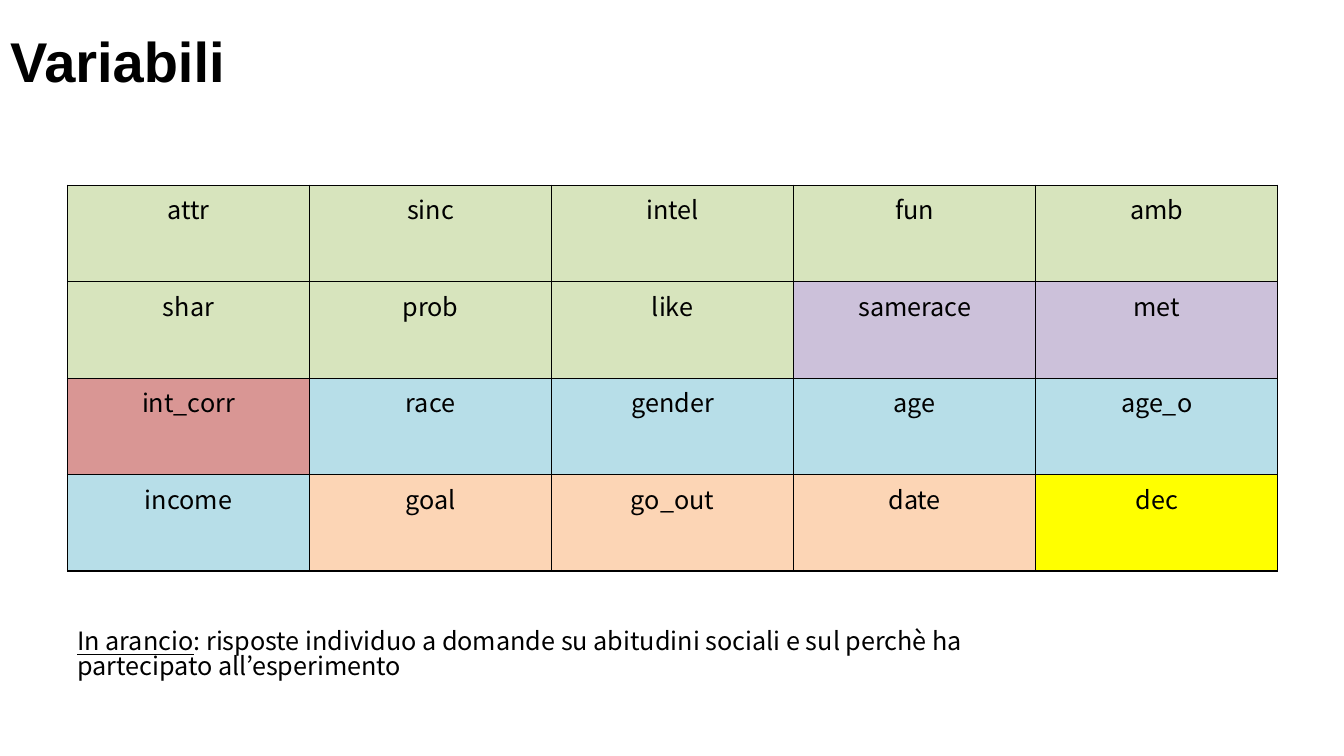
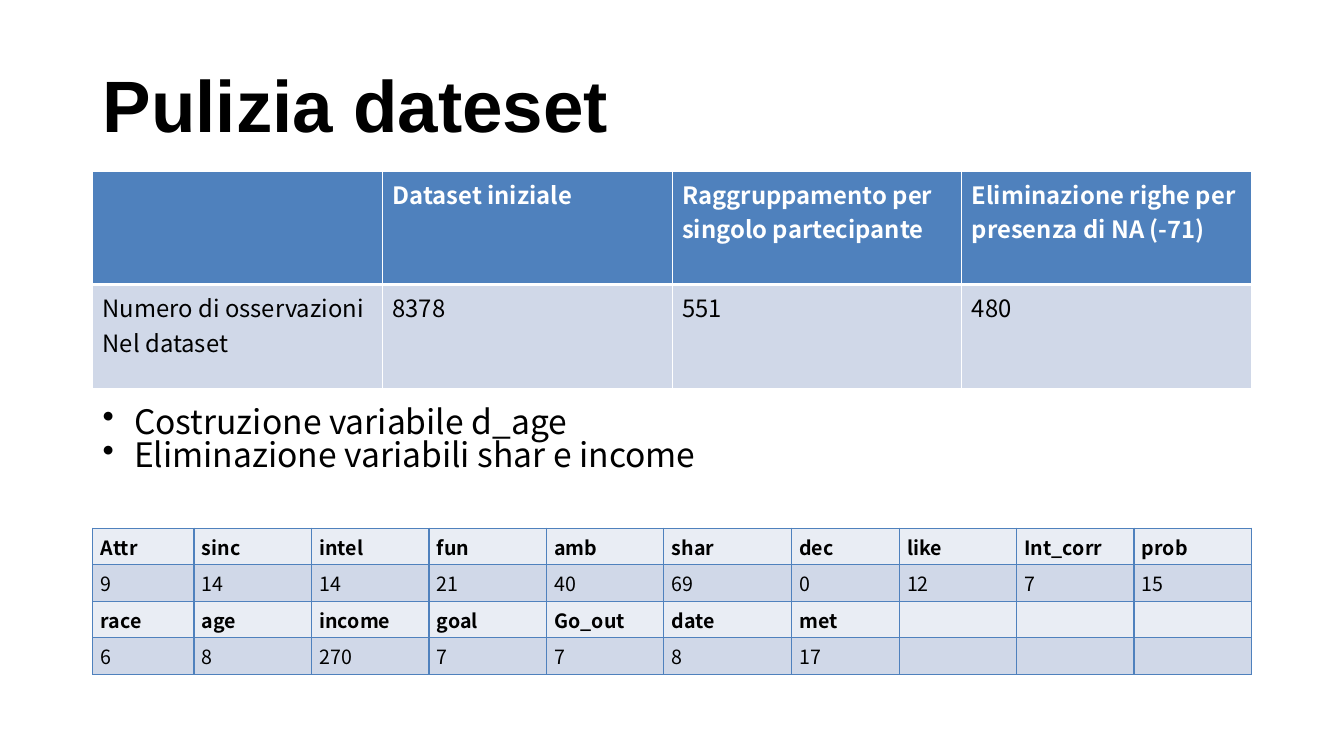
from pptx import Presentation, util as u
from pptx.dml.color import RGBColor
from pptx.enum import text as t
from pptx.oxml import parse_xml
from pptx.oxml.ns import nsdecls

HEX = {
    "black": "000000", "white": "FFFFFF", "green": "D7E4BD", "violet": "CCC1DA",
    "red": "D99694", "cyan": "B7DEE8", "orange": "FCD5B5", "yellow": "FFFF00",
    "blue": "4F81BD", "band": "D0D8E8", "pale": "E9EDF4",
}
HEAD, BODY = "Arial", "Noto Sans CJK KR"
LEFT, WIDE = 2.34, 29.2

GROUPS = [
    ("green", "attr sinc intel fun amb shar prob like"),
    ("violet", "samerace met"),
    ("red", "int_corr"),
    ("cyan", "race gender age age_o income"),
    ("orange", "goal go_out date"),
    ("yellow", "dec"),
]
NOTE = ("In arancio", ": risposte individuo a domande su abitudini sociali "
        "e sul perchè ha partecipato all’esperimento")
STEPS = [
    ["", "Dataset iniziale", "Raggruppamento per singolo partecipante",
     "Eliminazione righe per presenza di NA (-71)"],
    ["Numero di osservazioni\nNel dataset", "8378", "551", "480"],
]
TASKS = "Costruzione variabile d_age\nEliminazione variabili shar e income"
COUNTS = [
    ["Attr", "sinc", "intel", "fun", "amb", "shar", "dec", "like", "Int_corr", "prob"],
    ["9", "14", "14", "21", "40", "69", "0", "12", "7", "15"],
    ["race", "age", "income", "goal", "Go_out", "date", "met", "", "", ""],
    ["6", "8", "270", "7", "7", "8", "17", "", "", ""],
]


def write(frame, words, size=18, font=BODY, color="black", bold=False,
          align="LEFT", lead="", space=None, bullet=False):
    frame.word_wrap = True
    for i, line in enumerate(words.split("\n")):
        para = frame.paragraphs[0] if i == 0 else frame.add_paragraph()
        para.alignment = t.PP_ALIGN[align]
        if space:
            para.line_spacing = space
            para.space_before = u.Pt(0)
        if bullet:
            props = para._p.get_or_add_pPr()
            props.set("marL", str(u.Cm(0.79)))
            props.set("indent", str(u.Cm(-0.79)))
            props.append(parse_xml(f'<a:buChar {nsdecls("a")} char="•"/>'))
        if not line:
            para._p.get_or_add_endParaRPr().set("sz", str(size * 100))
        for part, under in ((lead, True), (line, False)):
            if part:
                run = para.add_run()
                run.text = part
                run.font.size = u.Pt(size)
                run.font.name = font
                run.font.bold = bold
                run.font.underline = under
                run.font.color.rgb = RGBColor.from_string(HEX[color])


def place(shape, left, top, width, height):
    shape.left, shape.top, shape.width, shape.height = map(u.Cm, (left, top, width, height))


def start(deck, words, size, box):
    slide = deck.slides.add_slide(deck.slide_layouts[5])
    title = slide.shapes.title
    place(title, *box)
    title.text_frame.auto_size = t.MSO_AUTO_SIZE.NONE
    title.text_frame.vertical_anchor = t.MSO_ANCHOR.MIDDLE
    write(title.text_frame, words, size=size, font=HEAD, bold=True)
    return slide


def label(slide, box, words, **style):
    frame = slide.shapes.add_textbox(*map(u.Cm, box)).text_frame
    write(frame, words, **style)


def edge(cell, color, widths):
    props = cell._tc.get_or_add_tcPr()
    for side, width in zip("LRTB", widths):
        props.append(parse_xml(
            f'<a:ln{side} {nsdecls("a")} w="{u.Pt(width)}"><a:solidFill>'
            f'<a:srgbClr val="{HEX[color]}"/></a:solidFill></a:ln{side}>'))


def grid(slide, left, top, cols, rows, data, look, line, pad=(0.25, 0.13)):
    box = map(u.Cm, (left, top, sum(cols), sum(rows)))
    table = slide.shapes.add_table(len(rows), len(cols), *box).table
    table.first_row = table.horz_banding = False
    for col, width in zip(table.columns, cols):
        col.width = u.Cm(width)
    for r, high in enumerate(rows):
        table.rows[r].height = u.Cm(high)
        for c, words in enumerate(data[r]):
            cell = table.cell(r, c)
            fill, style, widths = look(r, c)
            edge(cell, line, widths)
            cell.fill.solid()
            cell.fill.fore_color.rgb = RGBColor.from_string(HEX[fill])
            cell.margin_left = cell.margin_right = u.Cm(pad[0])
            cell.margin_top = cell.margin_bottom = u.Cm(pad[1])
            write(cell.text_frame, words, **style)


def fields(deck):
    slide = start(deck, "Variabili", 40, (0, 0.05, 33.87, 2.92))
    flat = [(name, fill) for fill, names in GROUPS for name in names.split()]
    rows = [flat[i:i + 5] for i in range(0, len(flat), 5)]
    data = [[name for name, fill in row] for row in rows]

    def look(r, c):
        return rows[r][c][1], {"align": "CENTER"}, (1, 1, 1, 1)

    grid(slide, 1.7, 4.67, [6.1] * 5, [2.43] * 4, data, look, "black")
    label(slide, (1.7, 15.77, 23.19, 1.8), NOTE[1], lead=NOTE[0], space=0.82)


def clean(deck):
    slide = start(deck, "Pulizia dateset", 52, (LEFT, 0.51, WIDE, 4.19))

    def steps(r, c):
        if r == 0:
            return "blue", {"size": 17, "color": "white", "bold": True}, (1, 1, 1, 3)
        return "band", {"size": 17}, (1, 1, 3, 1)

    def counts(r, c):
        names = r % 2 == 0
        return "pale" if names else "band", {"size": 14, "bold": names}, (1, 1, 1, 1)

    grid(slide, LEFT, 4.32, [WIDE / 4] * 4, [2.85, 2.61], STEPS, steps, "white")
    label(slide, (LEFT, 10.16, WIDE, 2.31), TASKS, size=24, space=0.82, bullet=True)
    cols = [2.55] + [2.96] * 4 + [3.21, 2.72] + [2.96] * 3
    grid(slide, LEFT, 13.31, cols, [0.92] * 4, COUNTS, counts, "blue", pad=(0.2, 0.1))


def main():
    deck = Presentation()
    deck.slide_width, deck.slide_height = u.Cm(33.87), u.Cm(19.05)
    fields(deck)
    clean(deck)
    deck.save("out.pptx")


if __name__ == "__main__":
    main()
